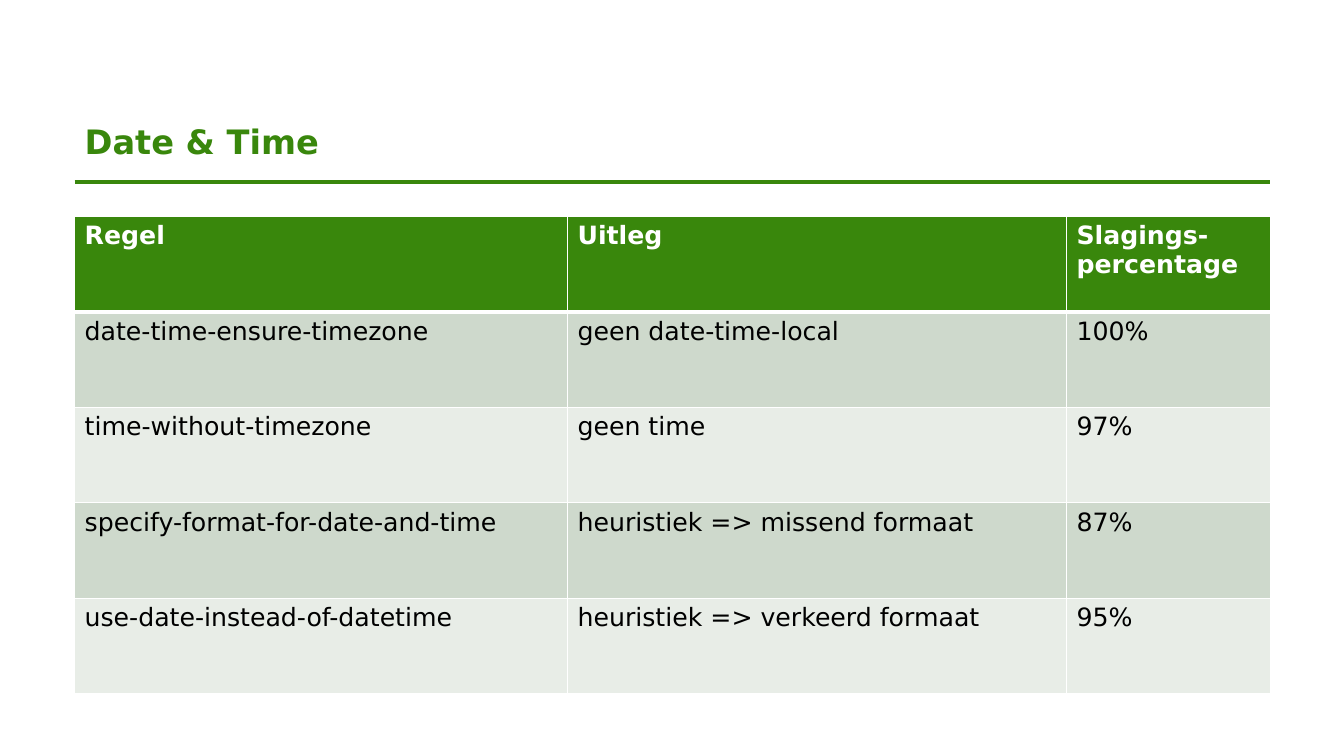
from lxml.etree import SubElement as Sub
from pptx import Presentation
from pptx.dml.color import RGBColor as Rgb
from pptx.enum.shapes import MSO_CONNECTOR as Conn
from pptx.enum.text import MSO_ANCHOR as Anchor, PP_ALIGN as Align
from pptx.oxml.ns import qn
from pptx.util import Pt


def hue(code):
    return Rgb.from_string(code)


class Deck:
    font = "DejaVu Sans"
    green = "39870C"
    white = "FFFFFF"
    black = "000000"
    bands = ("CED9CC", "E8EDE7")

    def __init__(self, wide, high):
        self.prs = Presentation()
        self.prs.slide_width = Pt(wide)
        self.prs.slide_height = Pt(high)
        self.slide = self.prs.slides.add_slide(self.prs.slide_layouts[5])

    def label(self, para, text, size, color, bold):
        run = para.add_run()
        run.text = text
        run.font.name = self.font
        run.font.size = Pt(size)
        run.font.bold = bold
        run.font.color.rgb = hue(color)

    def title(self, text, left, top, wide, high):
        box = self.slide.shapes.title
        box.left, box.top = Pt(left), Pt(top)
        box.width, box.height = Pt(wide), Pt(high)
        frame = box.text_frame
        frame.word_wrap = True
        frame.vertical_anchor = Anchor.BOTTOM
        para = frame.paragraphs[0]
        para.alignment = Align.LEFT
        para.line_spacing = 0.9
        self.label(para, text, 24, self.green, True)

    def rule(self, left, top, right):
        line = self.slide.shapes.add_connector(
            Conn.STRAIGHT, Pt(left), Pt(top), Pt(right), Pt(top))
        line.line.color.rgb = hue(self.green)
        line.line.width = Pt(3)
        Sub(line._element.spPr, qn("a:effectLst"))

    def edges(self, cell, row):
        props = cell._tc.get_or_add_tcPr()
        thick = {"T": 3 if row == 1 else 1, "B": 3 if row == 0 else 1}
        for side in "LRTB":
            edge = Sub(props, qn("a:ln" + side), w=str(Pt(thick.get(side, 1))))
            fill = Sub(edge, qn("a:solidFill"))
            Sub(fill, qn("a:srgbClr"), val=self.white)

    def table(self, rows, left, top, cols, high):
        grid = self.slide.shapes.add_table(
            len(rows), len(cols), Pt(left), Pt(top),
            Pt(sum(cols)), Pt(high * len(rows))).table
        for col, wide in zip(grid.columns, cols):
            col.width = Pt(wide)
        for r, texts in enumerate(rows):
            head = r == 0
            back = self.green if head else self.bands[(r - 1) % 2]
            for c, text in enumerate(texts):
                cell = grid.cell(r, c)
                self.edges(cell, r)
                cell.fill.solid()
                cell.fill.fore_color.rgb = hue(back)
                self.label(cell.text_frame.paragraphs[0], text, 18,
                           self.white if head else self.black, head)

    def save(self):
        self.prs.save("out.pptx")


def main():
    rules = [
        ("Regel", "Uitleg", "Slagings-percentage"),
        ("date-time-ensure-timezone", "geen date-time-local", "100%"),
        ("time-without-timezone", "geen time", "97%"),
        ("specify-format-for-date-and-time", "heuristiek => missend formaat", "87%"),
        ("use-date-instead-of-datetime", "heuristiek => verkeerd formaat", "95%"),
    ]
    left = 53.3
    deck = Deck(960, 540)
    deck.rule(left, 129.8, 907.2)
    deck.title("Date & Time", left, 67.7, 854.6, 51.1)
    deck.table(rules, left, 154.4, (352.1, 356.4, 145.5), 68.25)
    deck.save()


if __name__ == "__main__":
    main()
